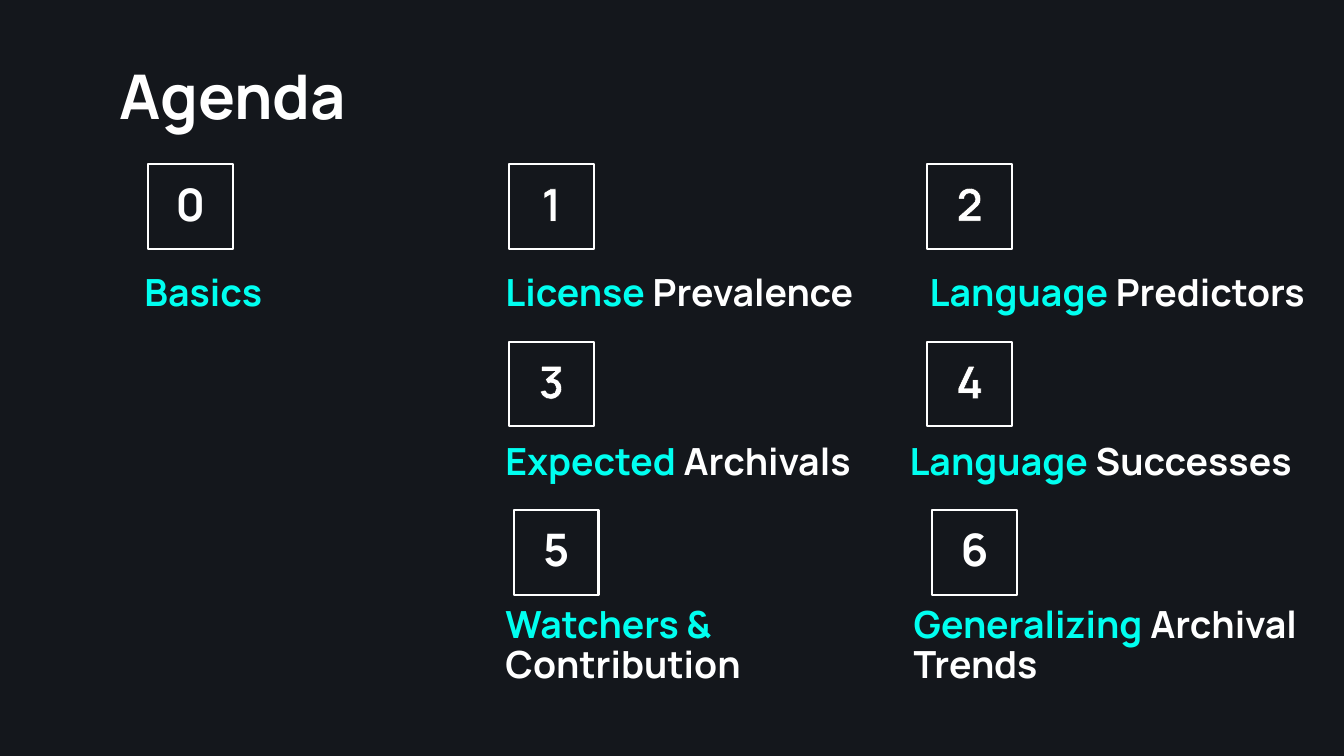
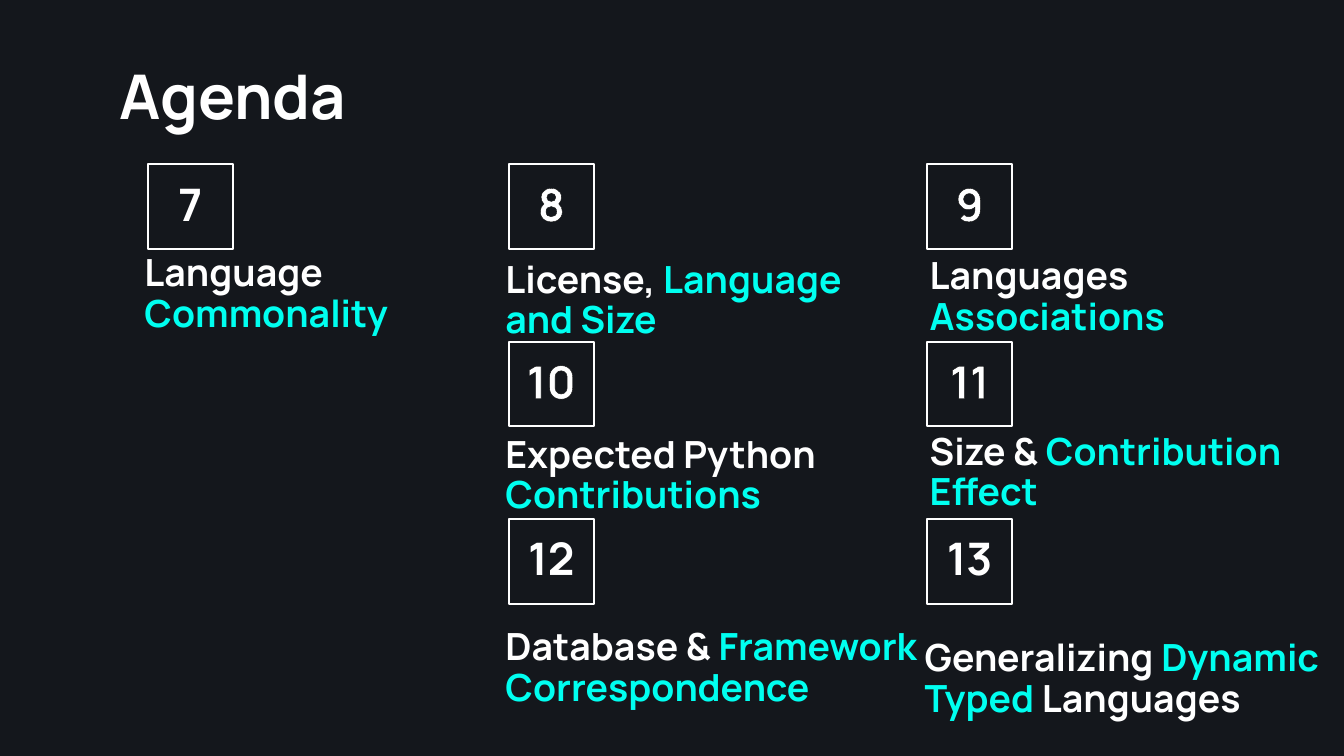
from dataclasses import dataclass

import lxml.etree
import pptx
import pptx.dml.color
import pptx.enum.shapes
import pptx.enum.text
import pptx.oxml.ns
import pptx.presentation
import pptx.shapes.autoshape
import pptx.slide
import pptx.util

Pt = pptx.util.Pt
RGB = pptx.dml.color.RGBColor
Align = pptx.enum.text.PP_ALIGN

DARK = RGB(0x14, 0x17, 0x1C)
WHITE = RGB(0xFF, 0xFF, 0xFF)
CYAN = RGB(0x00, 0xFF, 0xF0)
BLACK = RGB(0x00, 0x00, 0x00)
FONT = "Manrope"
INSET = 9.6
SIDE = 60.5
LEFTS = (105.8, 363.6, 662.4)
TOP = 117.4
STEP = 126.7
EDGED = range(1, 5)


@dataclass
class Label:
    text: str
    left: float
    top: float
    wide: float
    tall: float = 55.4


@dataclass
class Agenda:
    start: int
    labels: list[Label]
    shift: tuple[float, float] = (0, 0)


PAGES = [
    Agenda(0, [
        Label("*Basics*", 93.6, 182.9, 277.2),
        Label("*License *Prevalence", 351.4, 182.9, 303.1),
        Label("*Language *Predictors", 654.5, 182.9, 333.4),
        Label("*Expected *Archivals", 351.4, 303.1, 303.1),
        Label("*Language *Successes", 640.1, 303.1, 316.8),
        Label("*Watchers & *Contribution", 351.4, 424.1, 303.1, 74.9),
        Label("*Generalizing *Archival Trends", 643, 424.1, 316.8, 74.9),
    ], shift=(3.5, -6.5)),
    Agenda(7, [
        Label("Language *Commonality*", 93.6, 182.9, 277.2),
        Label("License, *Language and Size*", 351.4, 193, 290.9, 44.6),
        Label("Languages *Associations*", 654.5, 185, 333.4),
        Label("Expected Python *Contributions*", 351.4, 312.5, 303.1),
        Label("Size & *Contribution Effect*", 654.5, 310.3, 316.8),
        Label("Database & *Framework Correspondence*", 351.4, 450, 316.8),
        Label("Generalizing *Dynamic Typed *Languages", 650.9, 457.9, 316.8),
    ]),
]


def write(shape: pptx.shapes.autoshape.Shape, text: str, size: float,
          align: Align = Align.LEFT) -> None:
    frame = shape.text_frame
    frame.word_wrap = True
    frame.auto_size = pptx.enum.text.MSO_AUTO_SIZE.NONE
    frame.vertical_anchor = pptx.enum.text.MSO_ANCHOR.MIDDLE
    frame.margin_left = frame.margin_right = Pt(INSET)
    frame.margin_top = frame.margin_bottom = Pt(INSET)
    para = frame.paragraphs[0]
    para.alignment = align
    para.line_spacing = 0.9
    for spot, part in enumerate(text.split("*")):
        if part:
            run = para.add_run()
            run.text = part
            run.font.name = FONT
            run.font.size = Pt(size)
            run.font.bold = True
            run.font.color.rgb = CYAN if spot % 2 else WHITE


def edge(shape: pptx.shapes.autoshape.Shape) -> None:
    qn = pptx.oxml.ns.qn
    for props in shape.text_frame.paragraphs[0].runs[0].font, :
        line = lxml.etree.Element(qn("a:ln"), w=str(Pt(0.75)))
        fill = lxml.etree.SubElement(line, qn("a:solidFill"))
        lxml.etree.SubElement(fill, qn("a:srgbClr"), val=str(BLACK))
        props._element.insert(0, line)


def add_box(slide: pptx.slide.Slide, num: int, left: float,
            top: float) -> pptx.shapes.autoshape.Shape:
    box = slide.shapes.add_shape(
        pptx.enum.shapes.MSO_SHAPE.RECTANGLE,
        Pt(left), Pt(top), Pt(SIDE), Pt(SIDE))
    box.shadow.inherit = False
    box.fill.background()
    box.line.color.rgb = WHITE
    box.line.width = Pt(1.5)
    write(box, str(num), 32, Align.CENTER)
    return box


def add_label(slide: pptx.slide.Slide, label: Label) -> None:
    box = slide.shapes.add_textbox(
        Pt(label.left), Pt(label.top), Pt(label.wide), Pt(label.tall))
    write(box, label.text, 26.7)


def add_page(deck: pptx.presentation.Presentation, page: Agenda) -> None:
    slide = deck.slides.add_slide(deck.slide_layouts[5])
    title = slide.shapes.title
    title.left, title.top = Pt(75.6), Pt(41)
    title.width, title.height = Pt(666), Pt(60.5)
    write(title, "Agenda", 44)
    for spot, label in enumerate(page.labels):
        row, col = divmod(spot - 1, 2) if spot else (0, -1)
        right, down = page.shift if row == 2 else (0, 0)
        box = add_box(slide, page.start + spot,
                      LEFTS[col + 1] + right, TOP + row * STEP + down)
        if spot in EDGED:
            edge(box)
        add_label(slide, label)


def main() -> None:
    deck = pptx.Presentation()
    deck.slide_width, deck.slide_height = Pt(960), Pt(540)
    back = deck.slide_master.background.fill
    back.solid()
    back.fore_color.rgb = DARK
    for page in PAGES:
        add_page(deck, page)
    deck.save("out.pptx")


if __name__ == "__main__":
    main()
